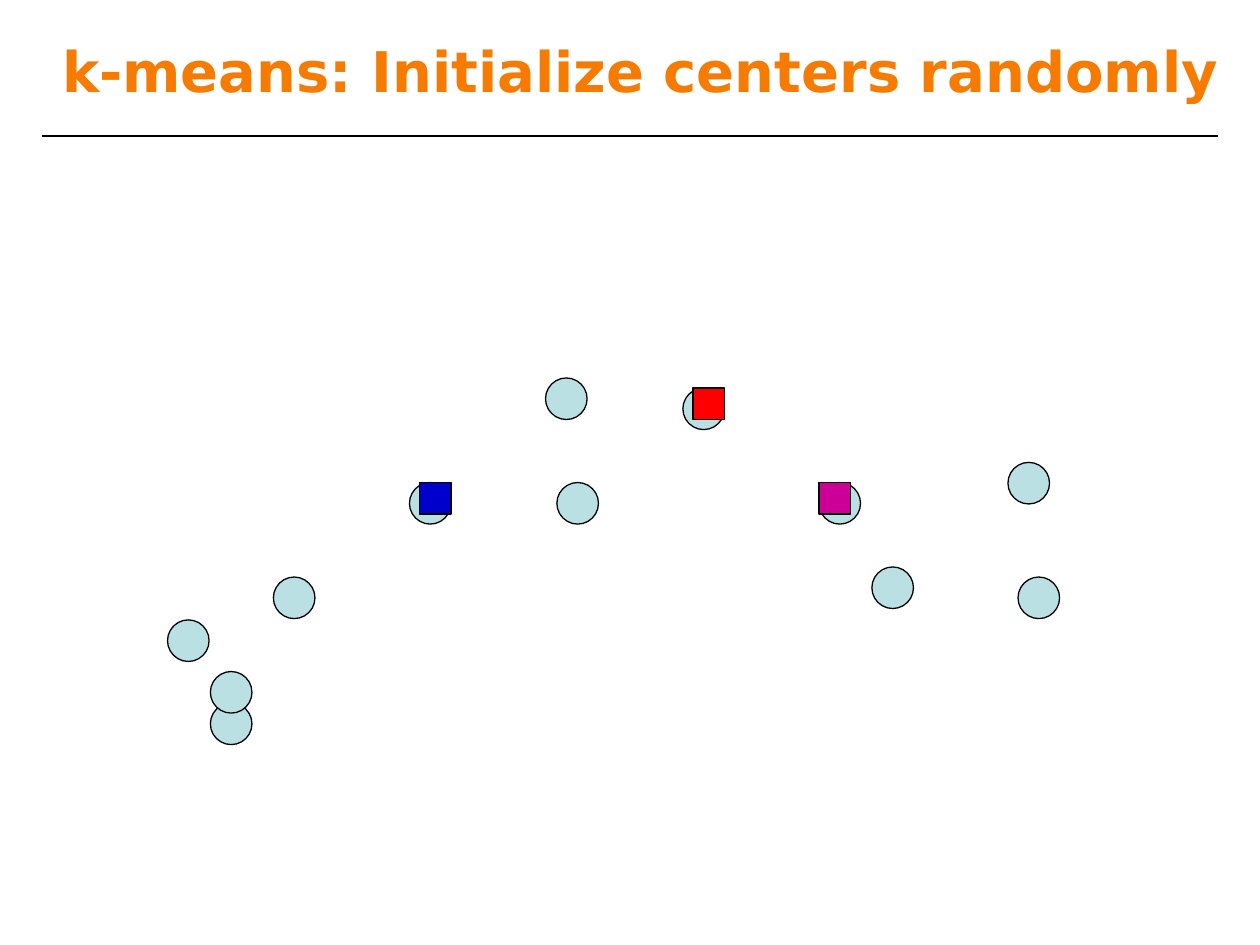
from lxml import etree
from pptx import Presentation
from pptx.dml.color import RGBColor
from pptx.enum.shapes import MSO_CONNECTOR, MSO_SHAPE
from pptx.enum.text import MSO_ANCHOR, PP_ALIGN
from pptx.oxml.ns import qn
from pptx.util import Inches, Pt

COLORS = {
    "title": "F67B00",
    "outline": "000000",
    "point": "BBE0E3",
    "blue": "0000CC",
    "red": "FF0000",
    "magenta": "CC0099",
}
POINT_SIZE = 0.33
CENTER_SIZE = 0.25

presentation = Presentation()
presentation.slide_width = Inches(10)
presentation.slide_height = Inches(7.5)
slide = presentation.slides.add_slide(presentation.slide_layouts[6])


def add_text(text, *, left, top, width, height, size, color, bold=False, font="DejaVu Sans"):
    text_box = slide.shapes.add_textbox(Inches(left), Inches(top), Inches(width), Inches(height))
    frame = text_box.text_frame
    frame.word_wrap = True
    frame.vertical_anchor = MSO_ANCHOR.MIDDLE
    paragraph = frame.paragraphs[0]
    paragraph.alignment = PP_ALIGN.CENTER
    run = paragraph.add_run()
    run.text = text
    run.font.name = font
    run.font.size = Pt(size)
    run.font.bold = bold
    run.font.color.rgb = RGBColor.from_string(COLORS[color])


def add_marker(kind, left, top, size, color):
    shape = slide.shapes.add_shape(kind, Inches(left), Inches(top), Inches(size), Inches(size))
    shape.shadow.inherit = False
    shape.fill.solid()
    shape.fill.fore_color.rgb = RGBColor.from_string(COLORS[color])
    shape.line.color.rgb = RGBColor.from_string(COLORS["outline"])
    shape.line.width = Pt(0.75)


# Rule under the title
rule = slide.shapes.add_connector(
    MSO_CONNECTOR.STRAIGHT, Inches(0.33), Inches(1.08), Inches(9.67), Inches(1.08)
)
rule.line.color.rgb = RGBColor.from_string(COLORS["outline"])
rule.line.width = Pt(1.5)
etree.SubElement(rule._element.spPr, qn("a:effectLst"))

# Title
add_text("k-means: Initialize centers randomly", left=0, top=0.17, width=10.17, height=0.78,
         size=32, color="title", bold=True)

# Data points, from back to front
points = [
    (1.67, 5.58), (1.33, 4.92), (2.17, 4.58), (8, 3.67),
    (4.33, 3), (5.42, 3.08), (4.42, 3.83), (3.25, 3.83),
    (8.08, 4.58), (6.5, 3.83), (1.67, 5.33), (6.92, 4.5),
]
for left, top in points:
    add_marker(MSO_SHAPE.OVAL, left, top, POINT_SIZE, "point")

# Initial cluster centers
centers = [(3.33, 3.83, "blue"), (5.5, 3.08, "red"), (6.5, 3.83, "magenta")]
for left, top, color in centers:
    add_marker(MSO_SHAPE.RECTANGLE, left, top, CENTER_SIZE, color)

presentation.save("out.pptx")
